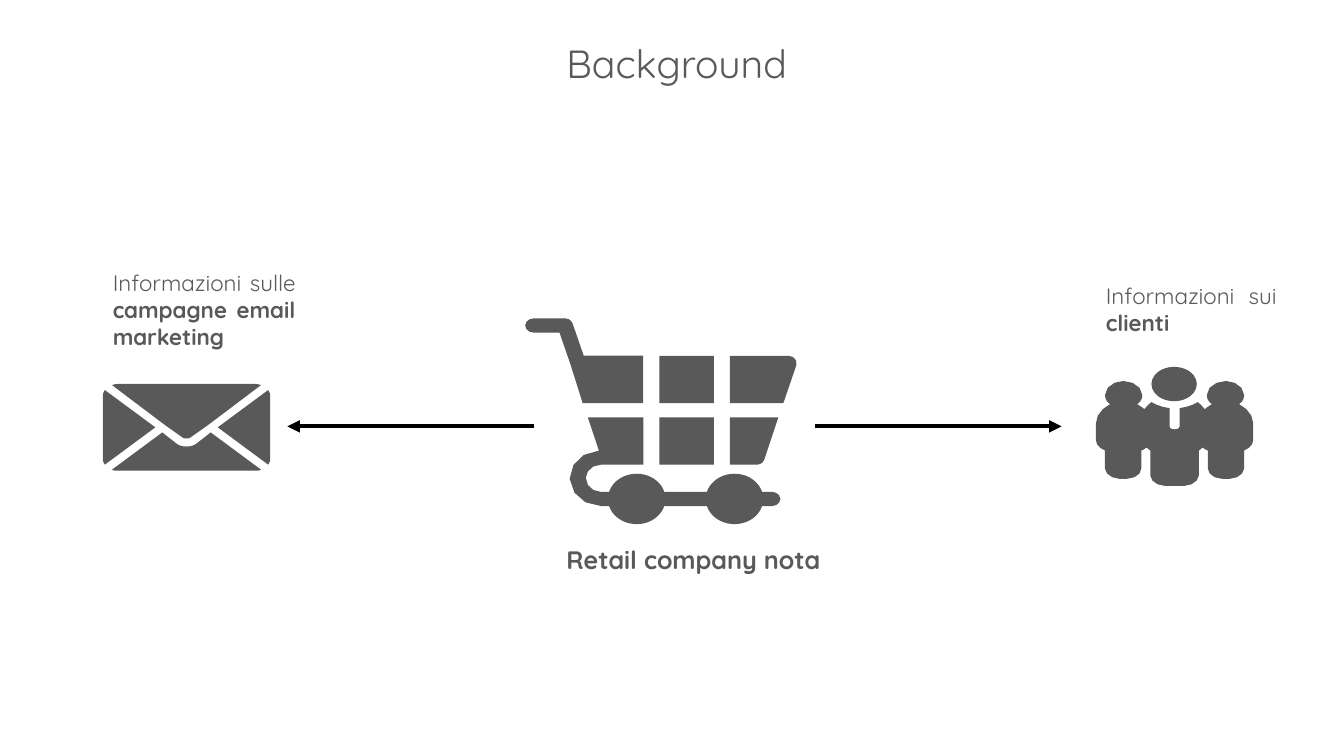
from lxml.etree import SubElement
from pptx import Presentation
from pptx.dml.color import RGBColor
from pptx.enum.shapes import MSO_CONNECTOR as Connector, MSO_SHAPE as Shape
from pptx.enum.text import MSO_AUTO_SIZE as AutoSize, PP_ALIGN as Align
from pptx.oxml.ns import qn
from pptx.util import Inches, Pt

GREY = "595959"
BLACK = "000000"
FONT = "Quicksand"
CURVE_STEPS = 3


def color(hex_code):
    return RGBColor.from_string(hex_code)


def paint(part):
    part.shadow.inherit = False
    part.fill.solid()
    part.fill.fore_color.rgb = color(GREY)
    part.line.fill.background()


def add_preset(icon, preset, left, top, width, height):
    paint(icon.shapes.add_shape(
        preset, Inches(left), Inches(top), Inches(width), Inches(height)))


def bezier(start, controls):
    x0, y0 = start
    x1, y1, x2, y2, x3, y3 = controls
    for step in range(1, CURVE_STEPS + 1):
        t = step / CURVE_STEPS
        a, b, c, d = (1 - t) ** 3, 3 * t * (1 - t) ** 2, 3 * t * t * (1 - t), t ** 3
        yield (a * x0 + b * x1 + c * x2 + d * x3,
               a * y0 + b * y1 + c * y2 + d * y3)


def trace(segments):
    points = []
    for segment in segments:
        if len(segment) == 2:
            points.append(segment)
        else:
            points.extend(bezier(points[-1], segment))
    return points


def mirror(points, axis):
    return [(2 * axis - x, y) for x, y in reversed(points)]


def add_outline(icon, points):
    start, *rest = [(Inches(x), Inches(y)) for x, y in points]
    builder = icon.shapes.build_freeform(*start)
    builder.add_line_segments(rest, close=True)
    paint(builder.convert_to_shape())


def add_symmetric(icon, half, axis):
    points = trace(half)
    add_outline(icon, points + mirror(points, axis))


def add_text(slide, left, top, width, height, text, size=16, bold=False,
             bold_tail="", align=Align.LEFT):
    box = slide.shapes.add_textbox(
        Inches(left), Inches(top), Inches(width), Inches(height))
    frame = box.text_frame
    frame.word_wrap = True
    frame.auto_size = AutoSize.SHAPE_TO_FIT_TEXT
    paragraph = frame.paragraphs[0]
    paragraph.alignment = align
    for wording, weight in ((text, bold), (bold_tail, True)):
        if wording:
            run = paragraph.add_run()
            run.text = wording
            run.font.name = FONT
            run.font.size = Pt(size)
            run.font.bold = weight
            run.font.color.rgb = color(GREY)


def add_arrow(slide, start_x, end_x, y):
    arrow = slide.shapes.add_connector(
        Connector.STRAIGHT, Inches(start_x), Inches(y), Inches(end_x), Inches(y))
    arrow.line.color.rgb = color(BLACK)
    arrow.line.width = Pt(3)
    SubElement(arrow.line._get_or_add_ln(), qn("a:tailEnd"), type="triangle")
    SubElement(arrow._element.spPr, qn("a:effectLst"))


def add_cart(slide):
    cart = slide.shapes.add_group_shape()
    handle = [
        (5.29, 3.16), (5.25, 3.16, 5.21, 3.19, 5.21, 3.23),
        (5.21, 3.27, 5.25, 3.3, 5.29, 3.3), (5.55, 3.3), (5.66, 3.62),
        (5.78, 4), (6.38, 4), (6.38, 3.53), (5.79, 3.53), (5.68, 3.21),
        (5.67, 3.18, 5.64, 3.16, 5.61, 3.16)]
    upper_end = [
        (7.24, 3.53), (7.24, 4), (7.77, 4), (7.9, 3.62),
        (7.91, 3.57, 7.87, 3.53, 7.82, 3.53)]
    lower_end = [
        (7.24, 4.14), (7.24, 4.61), (7.51, 4.61),
        (7.54, 4.61, 7.57, 4.59, 7.58, 4.56), (7.72, 4.14)]
    chassis = [
        (5.83, 4.14), (5.94, 4.47), (5.77, 4.48, 5.65, 4.6, 5.65, 4.75),
        (5.66, 4.9, 5.79, 5.02, 5.96, 5.02), (7.66, 5.02),
        (7.7, 5.02, 7.74, 4.99, 7.74, 4.95),
        (7.74, 4.91, 7.7, 4.88, 7.66, 4.88), (5.96, 4.88),
        (5.88, 4.88, 5.81, 4.82, 5.81, 4.74),
        (5.81, 4.67, 5.88, 4.61, 5.96, 4.61), (6.38, 4.61), (6.38, 4.14)]
    for outline in (handle, upper_end, lower_end, chassis):
        add_outline(cart, trace(outline))
    for basket_top in (3.53, 4.14):
        add_preset(cart, Shape.RECTANGLE, 6.54, basket_top, 0.54, 0.47)
    for wheel_left in (6.03, 7):
        add_preset(cart, Shape.OVAL, wheel_left, 4.7, 0.57, 0.5)


def add_customers(slide):
    customers = slide.shapes.add_group_shape()
    left_half = [
        (11.65, 4.26), (11.62, 4.26, 11.6, 4.25, 11.6, 4.23), (11.6, 4.05),
        (11.53, 4.04, 11.47, 4.02, 11.42, 3.99),
        (11.39, 4.01, 11.37, 4.04, 11.35, 4.06),
        (11.33, 4.04, 11.31, 4.03, 11.28, 4.01),
        (11.31, 3.99, 11.33, 3.96, 11.33, 3.92),
        (11.33, 3.84, 11.24, 3.78, 11.14, 3.78),
        (11.05, 3.78, 10.96, 3.84, 10.96, 3.92),
        (10.96, 3.96, 10.98, 3.99, 11.01, 4.01),
        (10.93, 4.05, 10.87, 4.12, 10.87, 4.2), (10.87, 4.37),
        (10.87, 4.41, 10.91, 4.45, 10.96, 4.47), (10.96, 4.65),
        (10.96, 4.7, 11.03, 4.75, 11.1, 4.75), (11.18, 4.75),
        (11.26, 4.75, 11.32, 4.7, 11.32, 4.65), (11.32, 4.47),
        (11.34, 4.46, 11.35, 4.46, 11.37, 4.44),
        (11.39, 4.45, 11.39, 4.46, 11.41, 4.47), (11.41, 4.72),
        (11.41, 4.77, 11.48, 4.82, 11.55, 4.82)]
    add_preset(customers, Shape.OVAL, 11.42, 3.64, 0.45, 0.34)
    add_symmetric(customers, left_half, 11.65)


def add_envelope(slide):
    envelope = slide.shapes.add_group_shape()
    middle = 1.85
    bottom_half = [
        (1.85, 4.43), (1.81, 4.43, 1.77, 4.42, 1.75, 4.4), (1.61, 4.29),
        (1.11, 4.66), (1.13, 4.67, 1.15, 4.67, 1.17, 4.67)]
    top_half = [
        (1.85, 4.35), (1.84, 4.35, 1.82, 4.35, 1.81, 4.34), (1.64, 4.22),
        (1.11, 3.82), (1.12, 3.82, 1.14, 3.81, 1.17, 3.81)]
    side = trace([
        (1.04, 3.87), (1.03, 3.89, 1.02, 3.9, 1.02, 3.92), (1.02, 4.56),
        (1.02, 4.58, 1.03, 4.59, 1.04, 4.61), (1.54, 4.24)])
    for half in (bottom_half, top_half):
        add_symmetric(envelope, half, middle)
    for flap in (side, mirror(side, middle)):
        add_outline(envelope, flap)


def main():
    deck = Presentation()
    deck.slide_width, deck.slide_height = Inches(13.33), Inches(7.5)
    slide = deck.slides.add_slide(deck.slide_layouts[6])

    add_cart(slide)
    add_customers(slide)
    add_text(slide, 5.52, 5.35, 2.84, 0.4, "Retail company nota",
             size=18, bold=True, align=Align.JUSTIFY)
    add_envelope(slide)
    add_arrow(slide, 5.3, 2.85, 4.23)
    add_arrow(slide, 8.08, 10.53, 4.23)
    add_text(slide, 5.52, 0.34, 2.58, 0.57, "Background", size=28)
    add_text(slide, 1.02, 2.62, 2.01, 0.91, "Informazioni sulle ",
             bold_tail="campagne email marketing", align=Align.JUSTIFY)
    add_text(slide, 10.87, 2.75, 1.89, 0.64, "Informazioni sui ",
             bold_tail="clienti", align=Align.JUSTIFY)

    deck.save("out.pptx")


if __name__ == "__main__":
    main()
